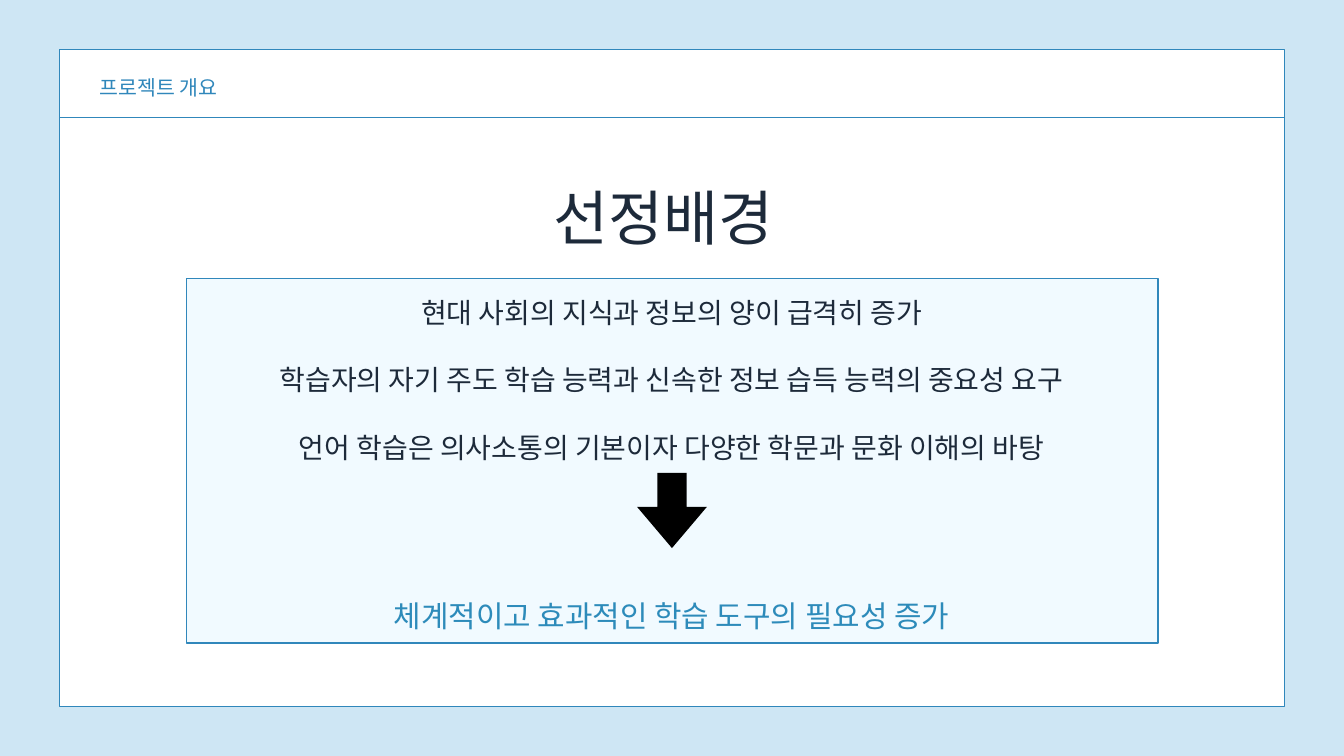
from lxml import etree
from pptx import Presentation
from pptx import util as u
from pptx.dml.color import RGBColor
from pptx.enum import shapes, text
from pptx.oxml.ns import qn

FONT = "Noto Sans CJK KR"
BLUE = "3087BB"
NAVY = "1D2A3A"


def color(value):
    return RGBColor.from_string(value)


def style(para, size, ink, spacing, align):
    para.alignment = align
    para.line_spacing = u.Pt(spacing)
    para.space_before = u.Pt(0)
    for span in para.runs:
        span.font.size = u.Pt(size)
        span.font.color.rgb = color(ink)
        span.font.name = FONT
        etree.SubElement(span.font._element, qn("a:ea"), typeface=FONT)


deck = Presentation()
deck.slide_width, deck.slide_height = u.Cm(50.8), u.Cm(28.58)
page = deck.slides.add_slide(deck.slide_layouts[5])
page.background.fill.solid()
page.background.fill.fore_color.rgb = color("CEE6F4")

rectangle = shapes.MSO_SHAPE.RECTANGLE
down_arrow = shapes.MSO_SHAPE.DOWN_ARROW
for kind, left, top, width, height, fill, line in [
    (rectangle, 2.26, 1.88, 46.3, 24.82, "FFFFFF", BLUE),
    (rectangle, 7.04, 10.52, 36.73, 13.79, "F1FAFF", BLUE),
    (down_arrow, 24.08, 17.88, 2.64, 2.84, "000000", None),
]:
    shape = page.shapes.add_shape(kind, u.Cm(left), u.Cm(top), u.Cm(width), u.Cm(height))
    shape.shadow.inherit = False
    shape.fill.solid()
    shape.fill.fore_color.rgb = color(fill)
    if line:
        shape.line.color.rgb = color(line)
        shape.line.width = u.Pt(1.5)
    else:
        shape.line.fill.background()
    if kind == down_arrow:
        shape.adjustments[0] = 0.42
        shape.adjustments[1] = 0.59

divider = page.shapes.add_connector(
    shapes.MSO_CONNECTOR.STRAIGHT, u.Cm(2.26), u.Cm(4.45), u.Cm(48.56), u.Cm(4.45)
)
divider.line.color.rgb = color(BLUE)
divider.line.width = u.Pt(1.5)
etree.SubElement(divider._element.spPr, qn("a:effectLst"))

title = page.shapes.title
page.shapes._spTree.append(title._element)
body = page.shapes.add_textbox(0, 0, 0, 0)
label = page.shapes.add_textbox(0, 0, 0, 0)
for box, left, top, width, height in [
    (title, 14.91, 6.38, 20.35, 3.02),
    (body, 8.03, 11.18, 34.72, 12.55),
    (label, 3.76, 2.69, 8.18, 1.07),
]:
    box.left, box.top, box.width, box.height = u.Cm(left), u.Cm(top), u.Cm(width), u.Cm(height)
    frame = box.text_frame
    frame.margin_left = frame.margin_right = frame.margin_top = frame.margin_bottom = 0
    frame.word_wrap = True
    frame.auto_size = text.MSO_AUTO_SIZE.NONE
    frame.vertical_anchor = text.MSO_ANCHOR.TOP

title.text_frame.text = "선정배경"
style(title.text_frame.paragraphs[0], 64, NAVY, 89.6, text.PP_ALIGN.CENTER)
label.text_frame.text = "프로젝트 개요"
style(label.text_frame.paragraphs[0], 22, BLUE, 30.8, text.PP_ALIGN.LEFT)

body.text_frame.text = "\n".join([
    "현대 사회의 지식과 정보의 양이 급격히 증가",
    "학습자의 자기 주도 학습 능력과 신속한 정보 습득 능력의 중요성 요구",
    "언어 학습은 의사소통의 기본이자 다양한 학문과 문화 이해의 바탕",
    "체계적이고 효과적인 학습 도구의 필요성 증가",
])
*reasons, conclusion = body.text_frame.paragraphs
for para in reasons:
    style(para, 30, NAVY, 36, text.PP_ALIGN.CENTER)
for para in reasons[1:]:
    para.space_before = u.Pt(36)
style(conclusion, 32, "2D8BBA", 38.4, text.PP_ALIGN.CENTER)
conclusion.space_before = u.Pt(144)

deck.save("out.pptx")
